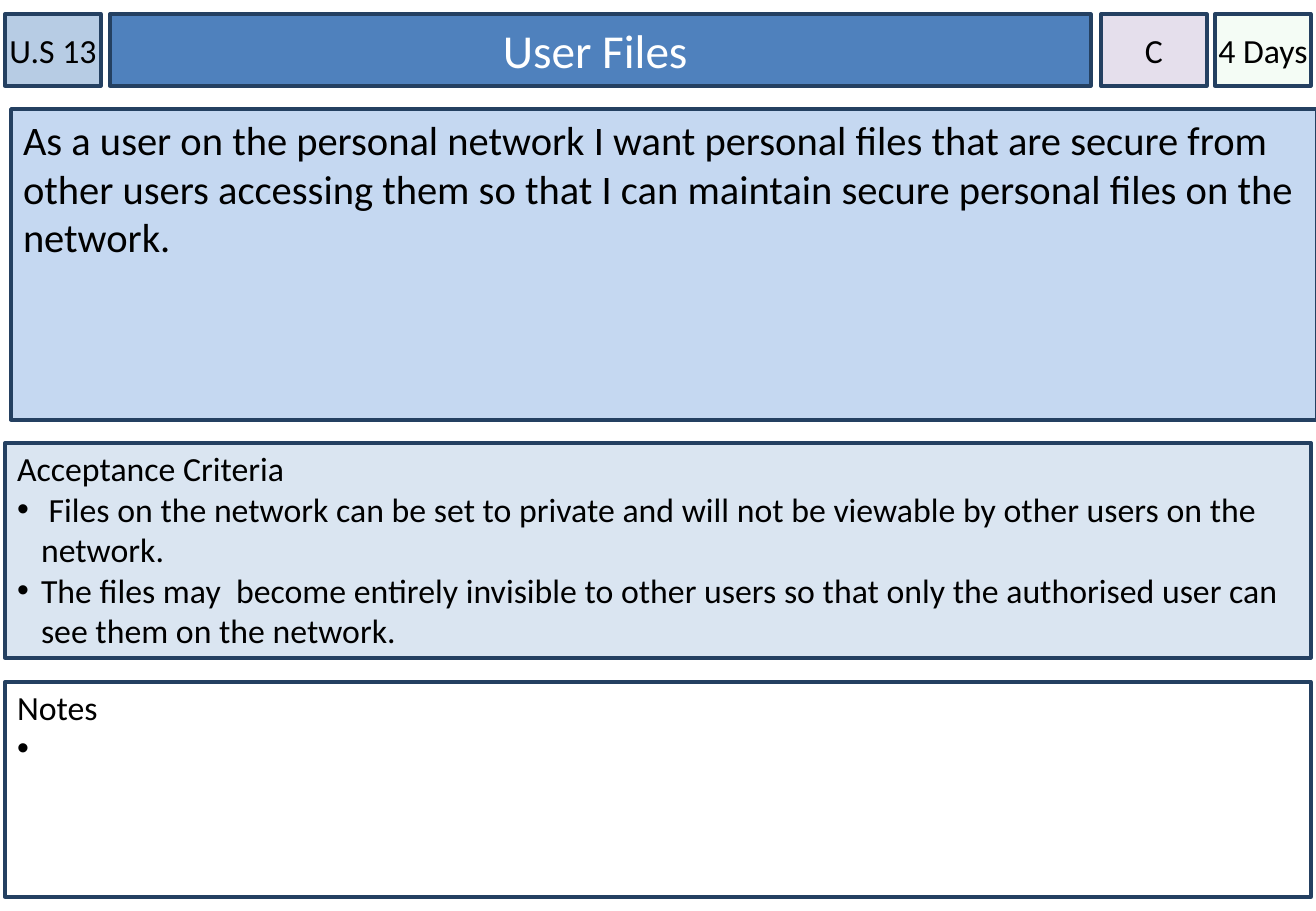
import pptx
import pptx.util
import pptx.dml.color
import pptx.enum.shapes
import pptx.enum.text
import pptx.oxml.ns
from lxml import etree

PX = 7526  # EMU per px, 121.5 px to the inch
ALIGN = pptx.enum.text.PP_ALIGN
ANCHOR = pptx.enum.text.MSO_ANCHOR
BULLET_INDENT = 24


def rgb(hex_code):
    return pptx.dml.color.RGBColor.from_string(hex_code)


def add_card(box, fill, lines, size=20, color="000000", centered=False, side=12, top=6):
    """Draw an outlined box; every line after the first is a bullet."""
    card = slide.shapes.add_shape(
        pptx.enum.shapes.MSO_SHAPE.RECTANGLE, *[length * PX for length in box])
    card.shadow.inherit = False
    card.fill.solid()
    card.fill.fore_color.rgb = rgb(fill)
    card.line.color.rgb = rgb("244061")
    card.line.width = pptx.util.Pt(2)

    frame = card.text_frame
    frame.word_wrap = True
    frame.vertical_anchor = ANCHOR.MIDDLE if centered else ANCHOR.TOP
    frame.margin_left = frame.margin_right = side * PX
    frame.margin_top, frame.margin_bottom = top * PX, 6 * PX

    for index, line in enumerate(lines):
        paragraph = frame.add_paragraph() if index else frame.paragraphs[0]
        paragraph.alignment = ALIGN.CENTER if centered else ALIGN.LEFT
        if index:
            properties = paragraph._p.get_or_add_pPr()
            properties.set("marL", str(BULLET_INDENT * PX))
            properties.set("indent", str(-BULLET_INDENT * PX))
            etree.SubElement(properties, pptx.oxml.ns.qn("a:buFont"), typeface="Arial")
            etree.SubElement(properties, pptx.oxml.ns.qn("a:buChar"), char="•")
        run = paragraph.add_run()
        run.text = line
        run.font.name = "Calibri"
        run.font.size = pptx.util.Pt(size)
        run.font.color.rgb = rgb(color)
    return card


deck = pptx.Presentation()
deck.slide_width, deck.slide_height = 1316 * PX, 911 * PX
slide = deck.slides.add_slide(deck.slide_layouts[6])

# Header row
header_top, header_height = 14, 72
header = [
    (5, 96, "B7CCE4", "U.S 13", 20, "000000", 0),
    (110, 981, "4F81BD", "User Files ", 28, "FFFFFF", 12),
    (1101, 106, "E5DFEC", "C", 20, "000000", 0),
    (1215, 96, "CCF0CD", "4 Days ", 20, "000000", 0),
]
for left, width, fill, label, size, color, side in header:
    estimate = add_card((left, header_top, width, header_height), fill, [label],
                        size, color, centered=True, side=side)

# The estimate, last in the row, has a 20% opaque fill
estimate_color = estimate.fill._xPr.find(".//" + pptx.oxml.ns.qn("a:srgbClr"))
etree.SubElement(estimate_color, pptx.oxml.ns.qn("a:alpha"), val="20000")

# Story, acceptance criteria and notes
add_card((11, 109, 1306, 311), "C5D8F1", [
    "As a user on the personal network I want personal files that are secure from "
    "other users accessing them so that I can maintain secure personal files on the network.",
], size=24)
add_card((5, 443, 1306, 215), "DAE5F1", [
    "Acceptance Criteria",
    " Files on the network can be set to private and will not be viewable by other "
    "users on the network.",
    "The files may  become entirely invisible to other users so that only the "
    "authorised user can see them on the network.",
], top=5)
add_card((5, 682, 1306, 215), "FFFFFF", ["Notes", " "], top=5)

deck.save("out.pptx")
